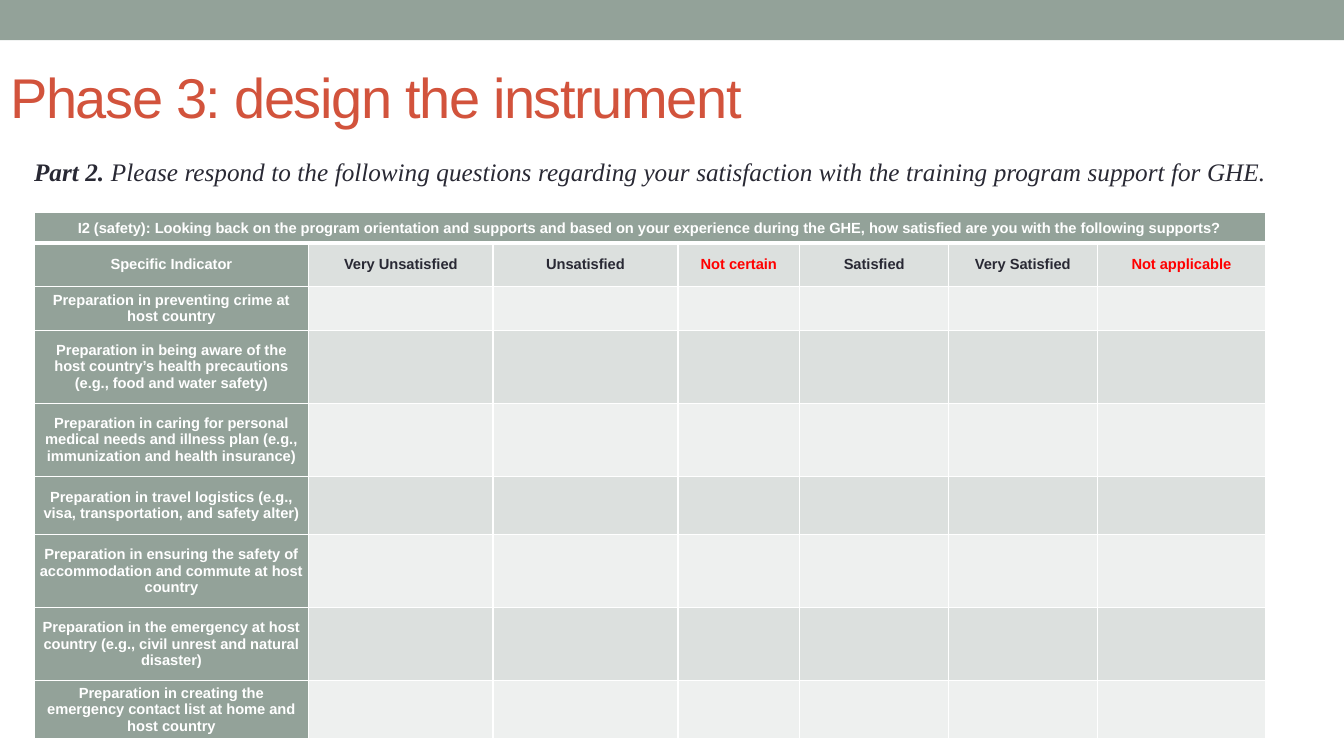
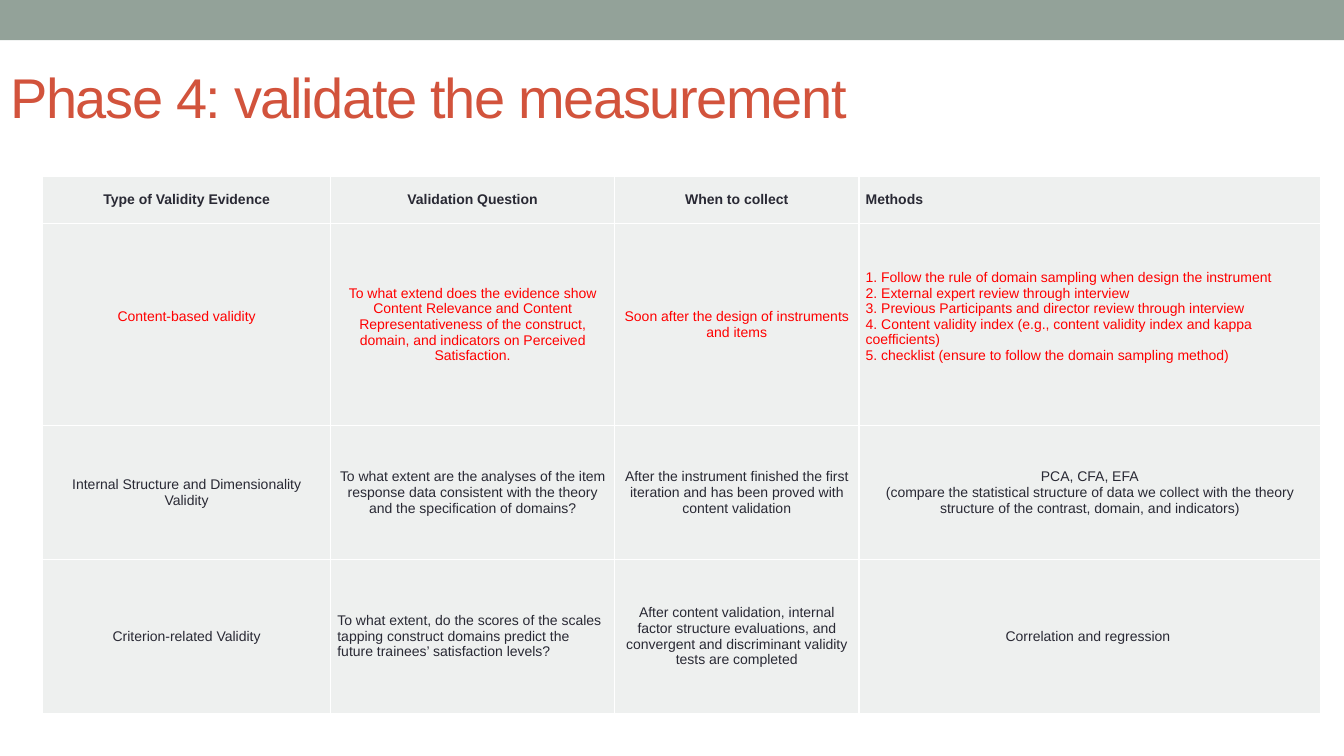
from lxml.etree import SubElement
from pptx import Presentation
from pptx.dml.color import RGBColor
from pptx.enum.shapes import MSO_SHAPE as SHAPE
from pptx.enum.text import MSO_ANCHOR as ANCHOR, PP_ALIGN as ALIGN
from pptx.oxml.ns import qn
from pptx.util import Cm, Pt

# Shared style
SAGE, RUST, INK, RED, WHITE = "93A299", "D2533C", "292934", "FF0000", "FFFFFF"
PALE, GREY = "EEF0EF", "DCE0DE"
SANS, SERIF = "Arial", "Times New Roman"
SLIDE_W, SLIDE_H, BAND_H = 33.86, 19.05, 1.01
TITLE_BOX = (0, 1.05, 30.48, 2.74)
BLANK_LINE = 0.4

# Content: satisfaction survey
SURVEY_TITLE = "Phase 3: design the instrument"
SURVEY_INTRO = [
    ("Part 2. ", {"bold": True}),
    ("Please respond to the following questions regarding your satisfaction "
     "with the training program support for GHE. ", {}),
]
SURVEY_QUESTION = (
    "I2 (safety): Looking back on the program orientation and supports and based on "
    "your experience during the GHE, how satisfied are you with the following supports?")
SURVEY_SCALE = ["Specific Indicator", "Very Unsatisfied", "Unsatisfied", "Not certain",
                "Satisfied", "Very Satisfied", "Not applicable"]
INDICATORS = [
    "Preparation in preventing crime at host country",
    "Preparation in being aware of the host country’s health precautions "
    "(e.g., food and water safety)",
    "Preparation in caring for personal medical needs and illness plan "
    "(e.g., immunization and health insurance)",
    "Preparation in travel logistics (e.g., visa, transportation, and safety alter)",
    "Preparation in ensuring the safety of accommodation and commute at host country",
    "Preparation in the emergency at host country (e.g., civil unrest and natural disaster)",
    "Preparation in creating the emergency contact list at home and host country",
]
SURVEY_COLS = [6.92, 4.64, 4.66, 3.07, 3.75, 3.74, 4.25]
SURVEY_ROWS = [0.77, 1.08, 1.11, 1.84, 1.84, 1.47, 1.84, 1.84, 1.47]
RED_OPTIONS = {"Not certain", "Not applicable"}

# Content: validity evidence
VALIDITY_TITLE = "Phase 4: validate the measurement"
VALIDITY = [
    ["Type of Validity Evidence", "Validation Question", "When to collect", "Methods"],
    ["Content-based validity",
     "To what extend does the evidence show Content Relevance and Content "
     "Representativeness of the construct, domain, and indicators on Perceived Satisfaction.",
     "Soon after the design of instruments and items",
     "1. Follow the rule of domain sampling when design the instrument\n"
     "2. External expert review through interview\n"
     "3. Previous Participants and director review through interview\n"
     "4. Content validity index (e.g., content validity index and kappa coefficients)\n"
     "5. checklist (ensure to follow the domain sampling method)"],
    ["Internal Structure and Dimensionality Validity",
     "To what extent are the analyses of the item response data consistent with the "
     "theory and the specification of domains?",
     "After the instrument finished the first iteration and has been proved with "
     "content validation",
     "PCA, CFA, EFA\n(compare the statistical structure of data we collect with the "
     "theory structure of the contrast, domain, and indicators)"],
    ["Criterion-related Validity",
     "To what extent, do the scores of the scales tapping construct domains predict "
     "the future trainees’ satisfaction levels?",
     "After content validation, internal factor structure evaluations, and convergent "
     "and discriminant validity tests are completed",
     "Correlation and regression "],
]
VALIDITY_COLS = [7.26, 7.15, 6.16, 11.63]
VALIDITY_ROWS = [1.18, 5.1, 3.37, 3.88]
LEFT_CELLS = {(0, 3), (1, 3), (3, 1)}
RAISED_CELLS = {(1, 0), (1, 3)}


def rgb(value):
    return RGBColor.from_string(value)


def write(tf, text, size=10, font=SANS, color=INK, bold=False, italic=False,
          align=ALIGN.LEFT, line=None, after=None, spacing=None):
    """Fill a text frame from a string, or from a list of (text, overrides) runs."""
    paragraphs = ([[(t, {})] for t in text.split("\n")]
                  if isinstance(text, str) else [text])
    for i, runs in enumerate(paragraphs):
        p = tf.add_paragraph() if i else tf.paragraphs[0]
        p.alignment, p.line_spacing = align, line
        if after is not None:
            p.space_after = Pt(after)
        for content, extra in runs:
            r = p.add_run()
            r.text = content
            f = r.font
            f.name, f.size, f.italic = font, Pt(size), italic
            f.bold = extra.get("bold", bold)
            f.color.rgb = rgb(color)
            if spacing is not None:
                f._element.set("spc", str(spacing))


def set_borders(cell, top=1, bottom=1):
    tcPr = cell._tc.get_or_add_tcPr()
    for side, width in (("L", 1), ("R", 1), ("T", top), ("B", bottom)):
        ln = SubElement(tcPr, qn(f"a:ln{side}"), w=str(Pt(width)))
        SubElement(SubElement(ln, qn("a:solidFill")), qn("a:srgbClr"), val=WHITE)


def add_grid(slide, rows, left, top, widths, heights, pad, style):
    """Add a table; style(row, col) gives fill, edges, foot and text format."""
    frame = slide.shapes.add_table(len(heights), len(widths), Cm(left), Cm(top),
                                   Cm(sum(widths)), Cm(sum(heights)))
    table = frame.table
    table.first_row = table.horz_banding = False
    for col, w in zip(table.columns, widths):
        col.width = Cm(w)
    for row, h in zip(table.rows, heights):
        row.height = Cm(h)
    for r, texts in enumerate(rows):
        for c, text in enumerate(texts):
            cell, look = table.cell(r, c), style(r, c)
            set_borders(cell, **look.get("edges", {}))
            cell.fill.solid()
            cell.fill.fore_color.rgb = rgb(look["fill"])
            cell.vertical_anchor = ANCHOR.MIDDLE
            cell.margin_left = cell.margin_right = Cm(pad)
            cell.margin_top, cell.margin_bottom = 0, Cm(look.get("foot", 0))
            if text:
                write(cell.text_frame, text, **look["text"])
    return table


def add_band(slide):
    s = slide.shapes.add_shape(SHAPE.RECTANGLE, 0, 0, Cm(SLIDE_W), Cm(BAND_H))
    s.shadow.inherit = False
    s.fill.solid()
    s.fill.fore_color.rgb = rgb(SAGE)
    s.line.fill.background()


def add_titled_slide(prs, title):
    """Add a slide with the top band and a formatted title."""
    slide = prs.slides.add_slide(prs.slide_layouts[5])
    add_band(slide)
    sp = slide.shapes.title
    sp.left, sp.top, sp.width, sp.height = map(Cm, TITLE_BOX)
    tf = sp.text_frame
    tf.vertical_anchor, tf.word_wrap = ANCHOR.MIDDLE, True
    write(tf, title, size=40, color=RUST, spacing=-95)
    return slide


def survey_style(r, c):
    text = dict(size=10.5, bold=True, align=ALIGN.CENTER, color=WHITE)
    if r == 0:
        return dict(fill=SAGE, edges={"bottom": 3}, text=dict(text, line=1.07))
    fill = SAGE if c == 0 else GREY if r % 2 else PALE
    if c:
        text["color"] = RED if SURVEY_SCALE[c] in RED_OPTIONS else INK
    return dict(fill=fill, edges={"top": 3 if r == 1 else 1}, text=text)


def validity_style(r, c):
    return dict(
        fill=PALE,
        foot=BLANK_LINE if (r, c) in RAISED_CELLS else 0,
        text=dict(bold=r == 0, color=RED if r == 1 else INK,
                  align=ALIGN.LEFT if (r, c) in LEFT_CELLS else ALIGN.CENTER))


def build_survey(prs):
    slide = add_titled_slide(prs, SURVEY_TITLE)
    blanks = [""] * (len(SURVEY_SCALE) - 1)
    rows = [[SURVEY_QUESTION] + blanks, SURVEY_SCALE] + [[t] + blanks for t in INDICATORS]
    table = add_grid(slide, rows, 0.86, 5.36, SURVEY_COLS, SURVEY_ROWS, 0.13, survey_style)
    table.cell(0, 0).merge(table.cell(0, len(blanks)))
    tf = slide.shapes.add_textbox(Cm(0.61), Cm(3.81), Cm(31.55), Cm(1.02)).text_frame
    tf.word_wrap = True
    write(tf, SURVEY_INTRO, size=18, font=SERIF, italic=True, align=ALIGN.JUSTIFY, after=8)


def build_validity(prs):
    slide = add_titled_slide(prs, VALIDITY_TITLE)
    add_grid(slide, VALIDITY, 1.07, 4.45, VALIDITY_COLS, VALIDITY_ROWS, 0.17, validity_style)


def main():
    prs = Presentation()
    prs.slide_width, prs.slide_height = Cm(SLIDE_W), Cm(SLIDE_H)
    build_survey(prs)
    build_validity(prs)
    prs.save("out.pptx")


if __name__ == "__main__":
    main()
